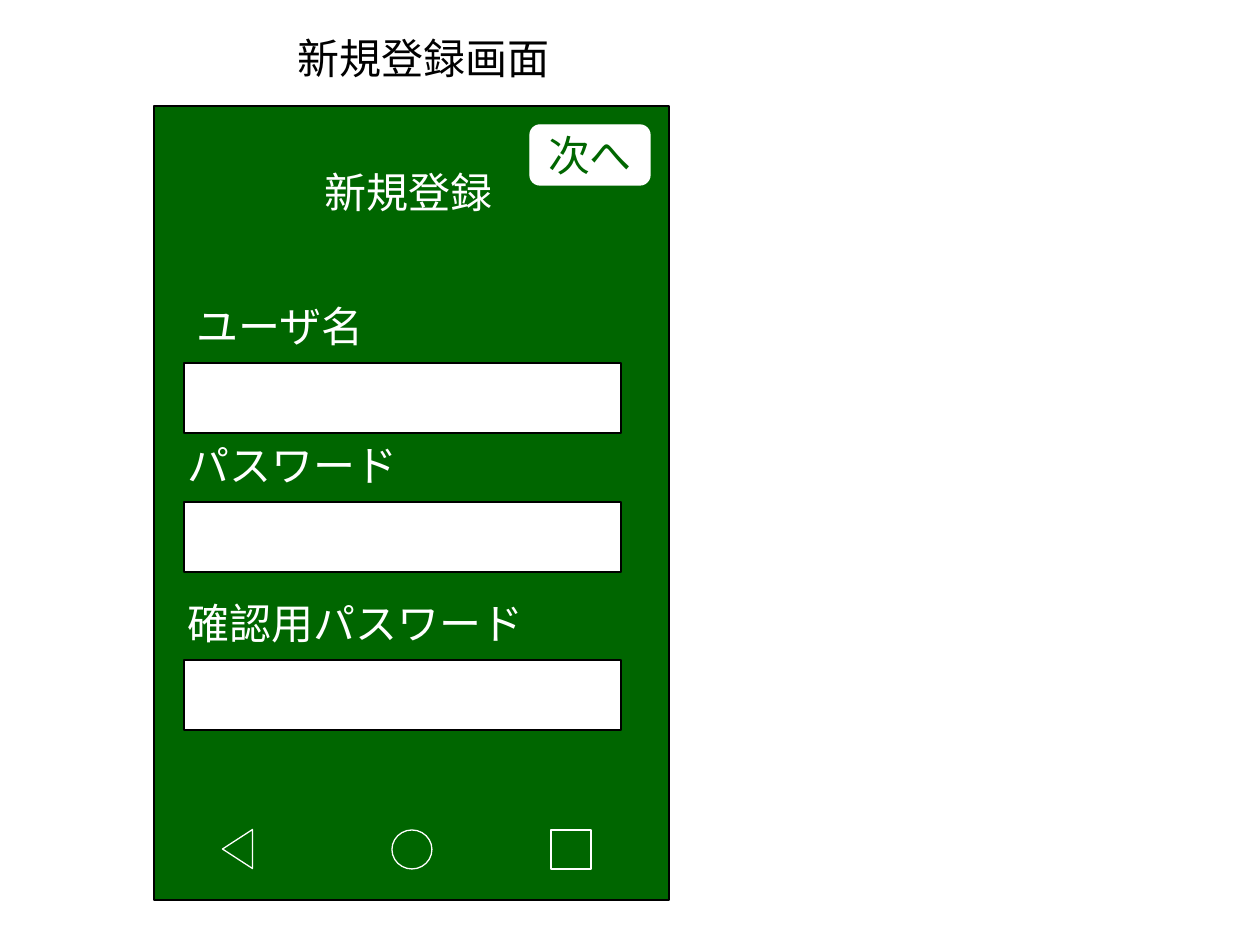
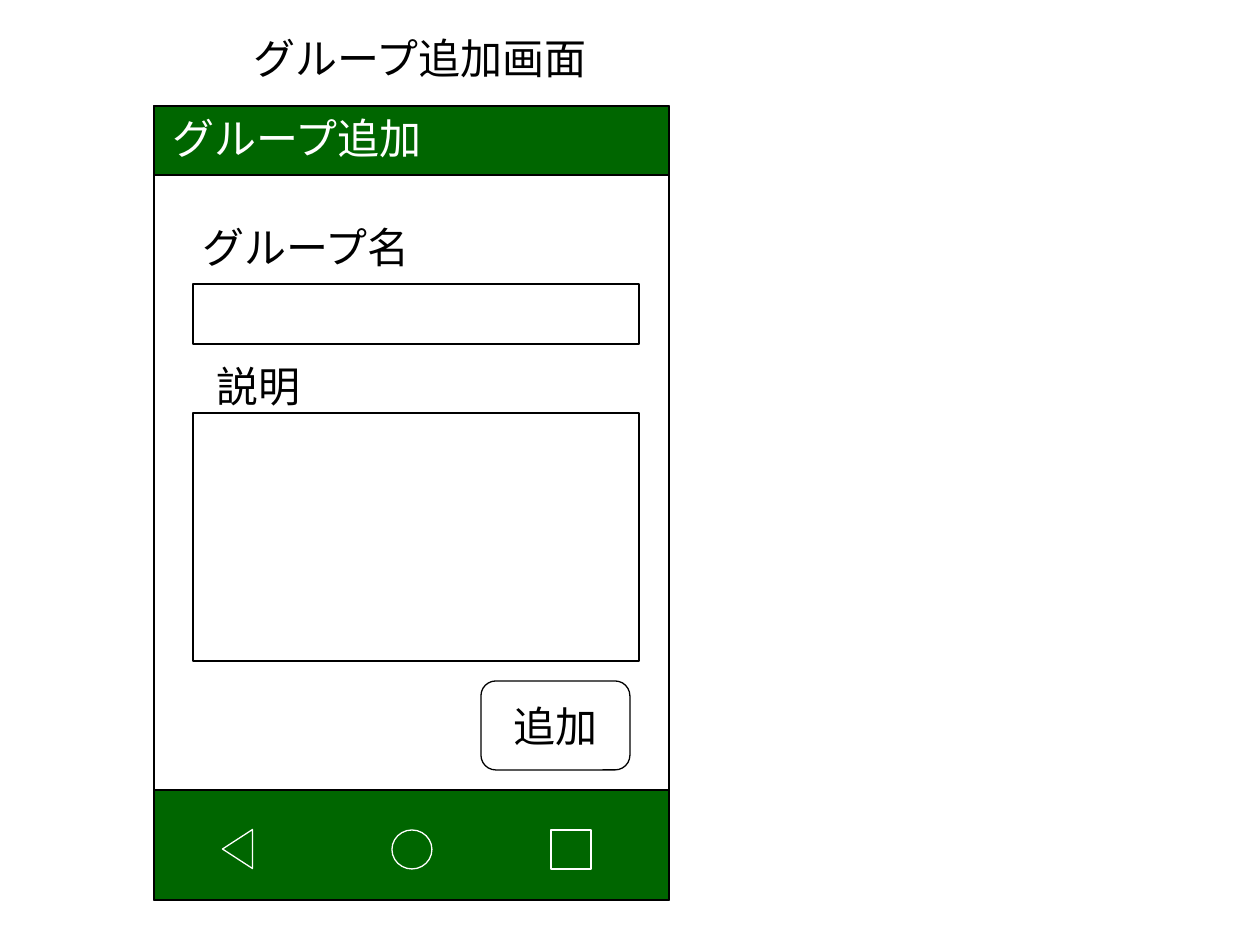
from pptx import Presentation
from pptx.dml.color import RGBColor
from pptx.enum.shapes import MSO_CONNECTOR, MSO_SHAPE
from pptx.enum.text import MSO_ANCHOR, MSO_AUTO_SIZE, PP_ALIGN
from pptx.oxml.ns import qn
from pptx.util import Emu, Pt
from lxml import etree

RECTANGLE = MSO_SHAPE.RECTANGLE
ROUNDED = MSO_SHAPE.ROUNDED_RECTANGLE
OVAL = MSO_SHAPE.OVAL
TRIANGLE = MSO_SHAPE.ISOSCELES_TRIANGLE
STRAIGHT = MSO_CONNECTOR.STRAIGHT
CENTER = PP_ALIGN.CENTER
MIDDLE = MSO_ANCHOR.MIDDLE
FIT_TEXT = MSO_AUTO_SIZE.SHAPE_TO_FIT_TEXT

COLORS = {"green": "006600", "white": "FFFFFF", "black": "000000"}
FONT = "Times New Roman"
FONT_SIZE = 24
LINE_WIDTH = 0.75
PX_PER_INCH = 126
CHAR_WIDTH = 42
LABEL_PADDING = 25
LABEL_HEIGHT = 63
LABEL_RISE = 69
TITLE_TOP = 26
PHONE_LEFT, PHONE_TOP, PHONE_WIDTH, PHONE_HEIGHT = 154, 106, 515, 794
HEADER_HEIGHT = 69
NAV_HEIGHT = 110


def px(length):
    return Emu(round(length * 914400 / PX_PER_INCH))


def color(name):
    return RGBColor.from_string(COLORS[name])


def style_text(paragraph, text, color_name):
    paragraph.text = text
    paragraph.font.name = FONT
    paragraph.font.size = Pt(FONT_SIZE)
    paragraph.font.color.rgb = color(color_name)


def add_box(shapes, kind, left, top, width, height, fill=None, line="black"):
    box = shapes.add_shape(kind, px(left), px(top), px(width), px(height))
    box.shadow.inherit = False
    if fill:
        box.fill.solid()
        box.fill.fore_color.rgb = color(fill)
    else:
        box.fill.background()
    box.line.color.rgb = color(line)
    box.line.width = Pt(LINE_WIDTH)
    return box


def add_label(slide, text, left, top, color_name="black"):
    width = len(text) * CHAR_WIDTH + LABEL_PADDING
    label = slide.shapes.add_textbox(px(left), px(top), px(width), px(LABEL_HEIGHT))
    label.text_frame.word_wrap = False
    label.text_frame.auto_size = FIT_TEXT
    style_text(label.text_frame.paragraphs[0], text, color_name)


def add_button(slide, text, left, top, width, height, fill, line, text_color):
    button = add_box(slide.shapes, ROUNDED, left, top, width, height, fill, line)
    button.text_frame.vertical_anchor = MIDDLE
    paragraph = button.text_frame.paragraphs[0]
    paragraph.alignment = CENTER
    style_text(paragraph, text, text_color)


def add_field(slide, text, label_left, left, top, width, height,
              fill=None, text_color="black", rise=LABEL_RISE):
    add_box(slide.shapes, RECTANGLE, left, top, width, height, fill)
    add_label(slide, text, label_left, top - rise, text_color)


def add_band(slide, top, height, fill="green"):
    add_box(slide.shapes, RECTANGLE, PHONE_LEFT, top, PHONE_WIDTH, height, fill)


def add_divider(slide, top):
    divider = slide.shapes.add_connector(
        STRAIGHT, px(PHONE_LEFT), px(top), px(PHONE_LEFT + PHONE_WIDTH), px(top))
    divider.line.color.rgb = color("black")
    divider.line.width = Pt(LINE_WIDTH)
    properties = divider._element.find(qn("p:spPr"))
    etree.SubElement(properties, qn("a:effectLst"))


def add_nav_icons(slide):
    icons = slide.shapes.add_group_shape().shapes
    back = add_box(icons, TRIANGLE, 218, 834, 39, 30, line="white")
    back.rotation = 270
    for kind, left in ((OVAL, 392), (RECTANGLE, 551)):
        add_box(icons, kind, left, 830, 40, 39, line="white")


def add_screen(deck, title, title_left):
    slide = deck.slides.add_slide(deck.slide_layouts[6])
    add_label(slide, title, title_left, TITLE_TOP)
    return slide


def build_registration(deck):
    slide = add_screen(deck, "新規登録画面", 285)
    add_band(slide, PHONE_TOP, PHONE_HEIGHT)
    add_button(slide, "次へ", 530, 125, 120, 60, "white", "white", "green")
    add_label(slide, "新規登録", 312, 160, "white")
    for text, label_left, top in (("ユーザ名", 184, 363),
                                  ("パスワード", 175, 502),
                                  ("確認用パスワード", 175, 660)):
        add_field(slide, text, label_left, 184, top, 437, 70, "white", "white")
    add_nav_icons(slide)


def build_group_addition(deck):
    slide = add_screen(deck, "グループ追加画面", 241)
    add_band(slide, PHONE_TOP + PHONE_HEIGHT - NAV_HEIGHT, NAV_HEIGHT)
    add_band(slide, PHONE_TOP, HEADER_HEIGHT)
    add_band(slide, PHONE_TOP, PHONE_HEIGHT, fill=None)
    add_divider(slide, PHONE_TOP + HEADER_HEIGHT)
    add_label(slide, "グループ追加", 160, PHONE_TOP, "white")
    add_field(slide, "グループ名", 190, 193, 284, 446, 60)
    add_field(slide, "説明", 204, 193, 413, 446, 248, rise=59)
    add_button(slide, "追加", 481, 681, 149, 89, None, "black", "black")
    add_nav_icons(slide)


def main():
    deck = Presentation()
    deck.slide_width, deck.slide_height = px(1260), px(945)
    build_registration(deck)
    build_group_addition(deck)
    deck.save("out.pptx")


if __name__ == "__main__":
    main()
